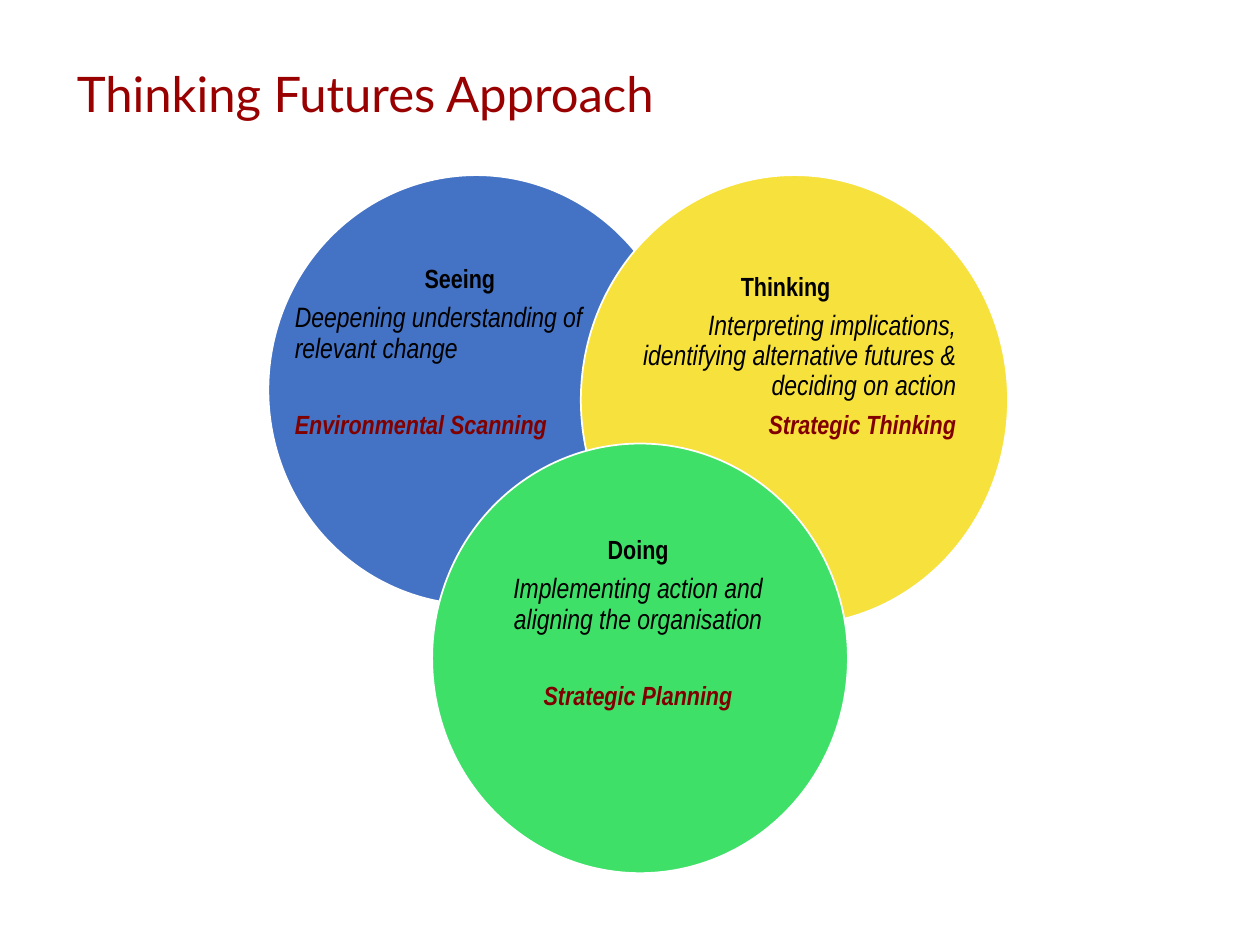
from pptx import Presentation
from pptx.dml.color import RGBColor
from pptx.enum import shapes, text
from pptx.util import Inches, Pt

BLUE = RGBColor(0x44, 0x72, 0xC4)
GOLD = RGBColor(0xF7, 0xE1, 0x3D)
GREEN = RGBColor(0x3E, 0xE0, 0x68)
WHITE = RGBColor(0xFF, 0xFF, 0xFF)
BLACK = RGBColor(0, 0, 0)
MAROON = RGBColor(0x80, 0, 0)
RED = RGBColor(0x99, 0, 0)
LEFT, MID, RIGHT = text.PP_ALIGN.LEFT, text.PP_ALIGN.CENTER, text.PP_ALIGN.RIGHT

HEAD = dict(size=Pt(15), bold=True, italic=False)
BODY = dict(size=Pt(16), bold=False, italic=True)
TERM = dict(size=Pt(15), bold=True, italic=True)


def place(box):
    return [Inches(n) for n in box]


def style(item, values):
    for name, value in values.items():
        setattr(item, name, value)


deck = Presentation()
deck.slide_width, deck.slide_height = Inches(10), Inches(7.5)
slide = deck.slides.add_slide(deck.slide_layouts[5])

title = slide.shapes.title
style(title, dict(zip(("left", "top", "width", "height"), place((0.51, 0.45, 4.97, 0.57)))))
title.text = "Thinking Futures Approach"
style(title.text_frame, dict(word_wrap=False, auto_size=text.MSO_AUTO_SIZE.NONE,
                             vertical_anchor=text.MSO_ANCHOR.MIDDLE))
line = title.text_frame.paragraphs[0]
line.alignment = LEFT
style(line.font, dict(name="Lato", size=Pt(28)))
line.font.color.rgb = RED

circles = [
    (BLUE, (2.13, 1.39, 3.3, 3.41), (2.34, 2.11, 2.62, 1.6), LEFT, 22,
     ("Seeing", "Deepening understanding of relevant change", "Environmental Scanning")),
    (GOLD, (4.61, 1.39, 3.39, 3.57), (4.88, 2.17, 2.71, 1.6), RIGHT, 0,
     ("Thinking", "Interpreting implications, identifying alternative futures & deciding on action",
      "Strategic Thinking")),
    (GREEN, (3.43, 3.52, 3.3, 3.41), (3.93, 4.26, 2.27, 1.6), MID, 22,
     ("Doing", "Implementing action and aligning the organisation", "Strategic Planning")),
]

for fill, ring, area, side, gap, words in circles:
    disc = slide.shapes.add_shape(shapes.MSO_SHAPE.OVAL, *place(ring))
    disc.shadow.inherit = False
    disc.fill.solid()
    disc.fill.fore_color.rgb = fill
    disc.line.color.rgb = WHITE
    disc.line.width = Pt(1)

    frame = slide.shapes.add_textbox(*place(area)).text_frame
    style(frame, dict(word_wrap=True, margin_left=0, margin_top=0,
                      margin_right=0, margin_bottom=0))
    rows = zip(words, (HEAD, BODY, TERM), (MID, side, side), (0, 0, gap), (BLACK, BLACK, MAROON))
    for index, (word, look, align, space, ink) in enumerate(rows):
        line = frame.add_paragraph() if index else frame.paragraphs[0]
        line.text = word
        style(line, dict(alignment=align, line_spacing=0.9, space_after=Pt(5.5)))
        if space:
            line.space_before = Pt(space)
        style(line.font, dict(look, name="Arial Narrow"))
        line.font.color.rgb = ink

deck.save("out.pptx")
